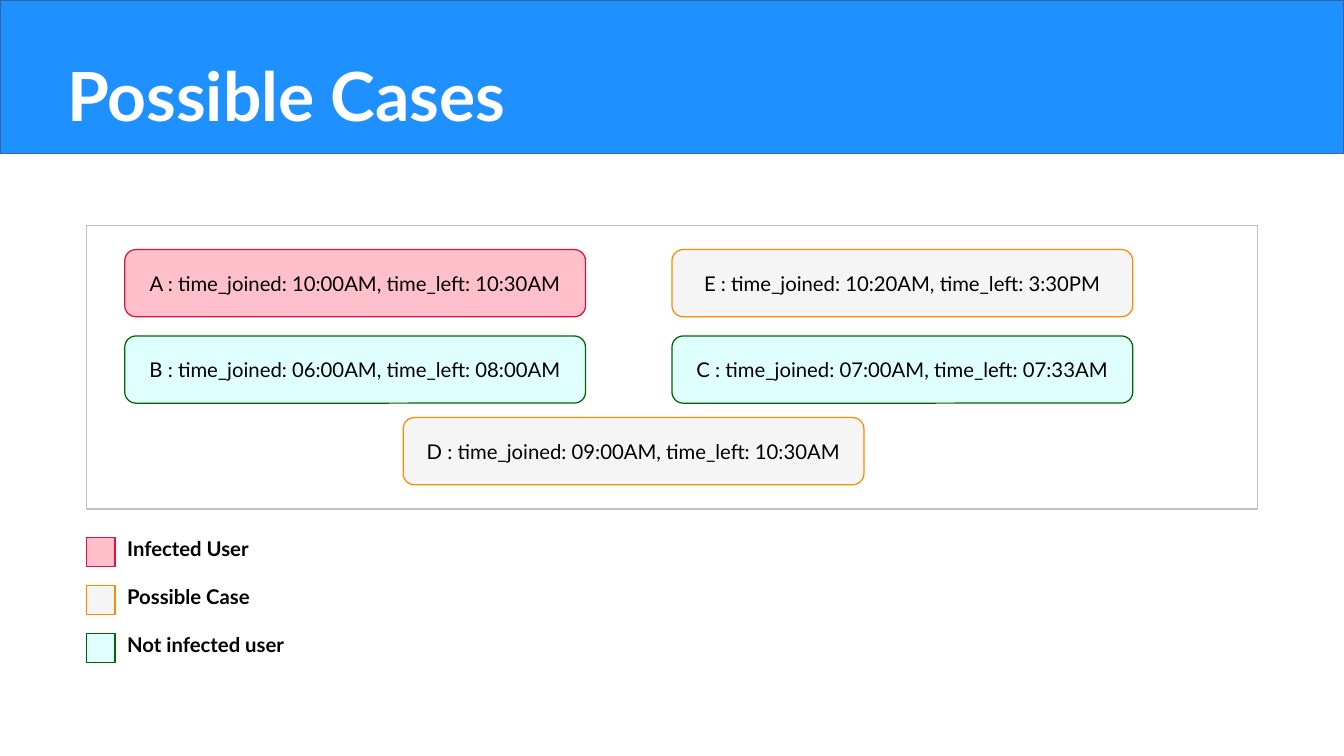
from pptx import Presentation
from pptx.dml.color import RGBColor
from pptx.enum.shapes import MSO_SHAPE
from pptx.enum.text import MSO_ANCHOR, PP_ALIGN
from pptx.util import Cm, Pt

STATUS_COLOURS = {
    "Infected User": ("FFC0CB", "DC143C"),
    "Possible Case": ("F5F5F5", "FF8C00"),
    "Not infected user": ("E0FFFF", "006400"),
}
USERS = [
    ("A : time_joined: 10:00AM, time_left: 10:30AM", "Infected User", 2.6, 5.2),
    ("B : time_joined: 06:00AM, time_left: 08:00AM", "Not infected user", 2.6, 7),
    ("E : time_joined: 10:20AM, time_left: 3:30PM", "Possible Case", 14, 5.2),
    ("D : time_joined: 09:00AM, time_left: 10:30AM", "Possible Case", 8.4, 8.7),
    ("C : time_joined: 07:00AM, time_left: 07:33AM", "Not infected user", 14, 7),
]


def colour(hex_code):
    """Turn a hex string into a colour."""
    return RGBColor.from_string(hex_code)


def write(paragraph, words, size, ink="000000", bold=False):
    """Add one run of Lato text to a paragraph."""
    run = paragraph.add_run()
    run.text = words
    run.font.name = "Lato"
    run.font.size = Pt(size)
    run.font.bold = bold
    run.font.color.rgb = colour(ink)


def add_box(slide, preset, left, top, width, height, fill, outline, weight=0):
    """Draw a flat filled shape, with lengths in centimetres."""
    box = slide.shapes.add_shape(preset, Cm(left), Cm(top), Cm(width), Cm(height))
    box.shadow.inherit = False
    box.fill.solid()
    box.fill.fore_color.rgb = colour(fill)
    box.line.color.rgb = colour(outline)
    box.line.width = Pt(weight)
    return box


def add_header(slide):
    """Place the title over a blue band."""
    band = add_box(slide, MSO_SHAPE.RECTANGLE, 0, 0, 28, 3.2, "1E90FF", "3465A4")
    title = slide.shapes.title
    title._element.addprevious(band._element)
    title.left, title.top, title.width, title.height = Cm(1.4), Cm(0.64), Cm(25.2), Cm(2.64)
    frame = title.text_frame
    frame.margin_left = frame.margin_right = frame.margin_top = frame.margin_bottom = 0
    frame.vertical_anchor = MSO_ANCHOR.MIDDLE
    heading = frame.paragraphs[0]
    heading.alignment = PP_ALIGN.LEFT
    write(heading, "Possible Cases", 40, "FFFFFF", True)


def add_user(slide, times, status, left, top):
    """Draw one user's session in the colours of its status."""
    card = add_box(slide, MSO_SHAPE.ROUNDED_RECTANGLE, left, top, 9.6, 1.4, *STATUS_COLOURS[status])
    frame = card.text_frame
    frame.word_wrap = False
    frame.vertical_anchor = MSO_ANCHOR.MIDDLE
    frame.paragraphs[0].alignment = PP_ALIGN.CENTER
    write(frame.paragraphs[0], times, 12)


def add_legend_entry(slide, status, top):
    """Draw a colour swatch and its label."""
    add_box(slide, MSO_SHAPE.RECTANGLE, 1.8, top, 0.6, 0.6, *STATUS_COLOURS[status])
    label = slide.shapes.add_textbox(Cm(2.4), Cm(top - 0.16), Cm(4.2), Cm(0.96))
    label.text_frame.word_wrap = True
    write(label.text_frame.paragraphs[0], status, 12, bold=True)


def main():
    """Build and save the slide."""
    deck = Presentation()
    deck.slide_width, deck.slide_height = Cm(28), Cm(15.75)
    slide = deck.slides.add_slide(deck.slide_layouts[5])
    add_header(slide)
    add_box(slide, MSO_SHAPE.RECTANGLE, 1.8, 4.7, 24.4, 5.9, "FFFFFF", "C0C0C0", 1)
    for user in USERS:
        add_user(slide, *user)
    for row, status in enumerate(STATUS_COLOURS):
        add_legend_entry(slide, status, 11.2 + row)
    deck.save("out.pptx")


if __name__ == "__main__":
    main()
